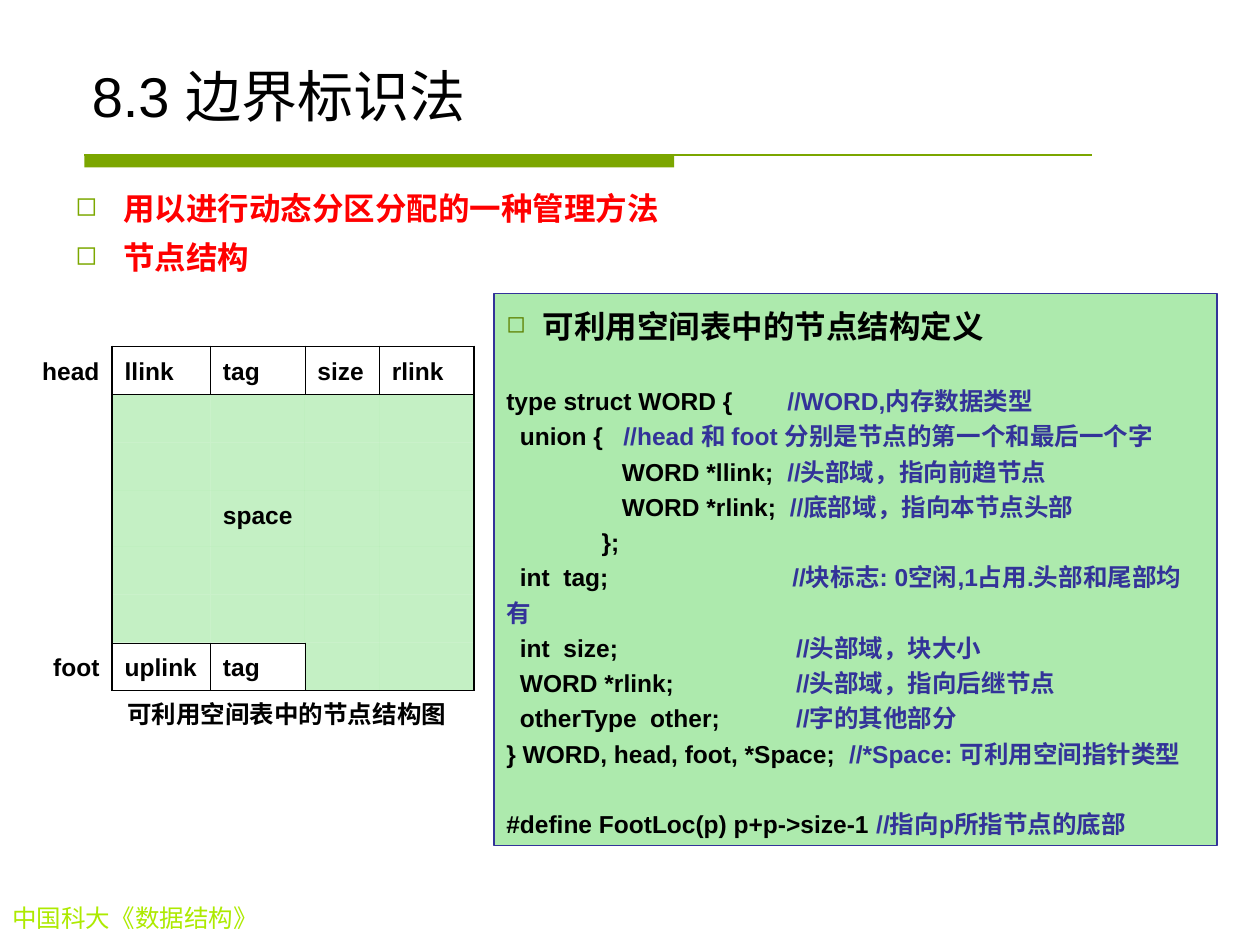
import pptx
import pptx.dml.color
import pptx.enum.shapes
import pptx.enum.text
import pptx.oxml.ns
import pptx.util
from lxml import etree

Inches = pptx.util.Inches
Pt = pptx.util.Pt
RGBColor = pptx.dml.color.RGBColor
ANCHOR = pptx.enum.text.MSO_ANCHOR
ALIGN = pptx.enum.text.PP_ALIGN

BLACK = RGBColor(0x00, 0x00, 0x00)
RED = RGBColor(0xFF, 0x00, 0x00)
OLIVE = RGBColor(0x7B, 0xA6, 0x00)
BULLET_OLIVE = RGBColor(0x7C, 0xA8, 0x00)
DARK_OLIVE = RGBColor(0x5E, 0x80, 0x00)
LIME = RGBColor(0xAD, 0xEA, 0x00)
INDIGO = RGBColor(0x33, 0x33, 0x99)
GREEN = RGBColor(0x33, 0xCC, 0x33)
PALE_GREEN = RGBColor(0x8A, 0xE2, 0x8A)

COLUMN_WIDTHS = [0.72, 0.78, 0.75, 0.59, 0.75]
ROW_HEIGHTS = [0.38, 0.38, 0.38, 0.45, 0.38, 0.38, 0.38]
SPACE = "space"
REGIONS = (
    [[None, "llink", "tag", "size", "rlink"]]
    + [[None] + [SPACE] * 4 for _ in range(5)]
    + [[None, "uplink", "tag", SPACE, SPACE]]
)
CELL_TEXTS = {(0, 0): "head", (6, 0): "foot", (3, 2): SPACE}
EDGES = {"lnL": (0, -1), "lnR": (0, 1), "lnT": (-1, 0), "lnB": (1, 0)}

CODE_LINES = [
    ("type struct WORD {", "//WORD,内存数据类型", 2.23),
    ("  union {", "//head 和 foot 分别是节点的第一个和最后一个字", 0.93),
    ("                 WORD *llink;", "//头部域，指向前趋节点", 2.23),
    ("                 WORD *rlink;", "//底部域，指向本节点头部", 2.25),
    ("              };", "", None),
    ("  int  tag;", "//块标志: 0空闲,1占用.头部和尾部均有", 2.27),
    ("  int  size;", "//头部域，块大小", 2.3),
    ("  WORD *rlink;", "//头部域，指向后继节点", 2.3),
    ("  otherType  other;", "//字的其他部分", 2.3),
    ("} WORD, head, foot, *Space;", "//*Space: 可利用空间指针类型", 2.72),
    ("#define FootLoc(p) p+p->size-1 ", "//指向p所指节点的底部", None),
]


def add_element(parent, tag, **attributes):
    return etree.SubElement(parent, pptx.oxml.ns.qn(tag), attributes)


def set_alpha(fill_parent, percent):
    color = fill_parent.find(".//" + pptx.oxml.ns.qn("a:srgbClr"))
    add_element(color, "a:alpha", val=str(percent * 1000))


def add_run(paragraph, text, size, color, bold=True, font="Arial"):
    run = paragraph.add_run()
    run.text = text
    run.font.size = Pt(size)
    run.font.name = font
    run.font.bold = bold
    run.font.color.rgb = color


def add_bullet(paragraph, color, percent, indent):
    properties = paragraph._p.get_or_add_pPr()
    properties.set("marL", str(Inches(indent)))
    properties.set("indent", str(-Inches(indent)))
    add_element(add_element(properties, "a:buClr"), "a:srgbClr", val=str(color))
    add_element(properties, "a:buSzPct", val=str(percent * 1000))
    add_element(properties, "a:buChar", char="◻")


def add_tab_stop(paragraph, position):
    tabs = add_element(paragraph._p.get_or_add_pPr(), "a:tabLst")
    add_element(tabs, "a:tab", pos=str(Inches(position)), algn="l")


def add_text_box(slide, left, top, width, height):
    box = slide.shapes.add_textbox(
        Inches(left), Inches(top), Inches(width), Inches(height))
    box.text_frame.word_wrap = True
    return box.text_frame


def add_title(slide, left, top, width, height):
    frame = add_text_box(slide, left, top, width, height)
    frame.vertical_anchor = ANCHOR.BOTTOM
    add_run(frame.paragraphs[0], "8.3 边界标识法", 32, BLACK, bold=False)


def add_title_rule(slide, left, top, width, height):
    bar = slide.shapes.add_shape(
        pptx.enum.shapes.MSO_SHAPE.RECTANGLE,
        Inches(left), Inches(top), Inches(width * 0.585), Inches(height))
    bar.shadow.inherit = False
    bar.fill.solid()
    bar.fill.fore_color.rgb = OLIVE
    bar.line.fill.background()
    line = slide.shapes.add_connector(
        pptx.enum.shapes.MSO_CONNECTOR.STRAIGHT,
        Inches(left), Inches(top), Inches(left + width), Inches(top))
    line.line.color.rgb = OLIVE
    line.line.width = Pt(0.75)
    add_element(line._element.spPr, "a:effectLst")


def add_topics(slide, left, top, width, height):
    frame = add_text_box(slide, left, top, width, height)
    for index, topic in enumerate(["用以进行动态分区分配的一种管理方法", "节点结构"]):
        paragraph = frame.add_paragraph() if index else frame.paragraphs[0]
        paragraph.line_spacing = 1.1
        if index:
            paragraph.space_before = Pt(4.5)
        add_bullet(paragraph, BULLET_OLIVE, 85, 0.38)
        add_run(paragraph, topic, 18, RED)


def region_at(row, column):
    if 0 <= row < len(ROW_HEIGHTS) and 0 <= column < len(COLUMN_WIDTHS):
        return REGIONS[row][column]
    return None


def set_borders(cell, row, column):
    properties = cell._tc.get_or_add_tcPr()
    region = region_at(row, column)
    for position, (edge, (down, across)) in enumerate(EDGES.items()):
        neighbour = region_at(row + down, column + across)
        if None in (region, neighbour):
            width = 1.08
        elif across and SPACE not in (region, neighbour):
            width = 0.45
        else:
            width = 0.11
        line = add_element(properties, "a:" + edge, w=str(Pt(width)))
        if region == neighbour:
            add_element(line, "a:noFill")
        else:
            fill = add_element(line, "a:solidFill")
            add_element(fill, "a:srgbClr", val=str(BLACK))
        properties.insert(position, line)


def fill_cell(cell, row, column):
    region = region_at(row, column)
    if region == SPACE:
        cell.fill.solid()
        cell.fill.fore_color.rgb = PALE_GREEN
        set_alpha(cell._tc.tcPr, 50)
    else:
        cell.fill.background()
    set_borders(cell, row, column)
    text = CELL_TEXTS.get((row, column), "" if region == SPACE else region)
    cell.margin_top = cell.margin_bottom = Inches(0.05 if text else 0)
    cell.margin_right = Inches(0 if column else 0.1)
    if text:
        paragraph = cell.text_frame.paragraphs[0]
        paragraph.line_spacing = 1.2
        paragraph.alignment = ALIGN.LEFT if column else ALIGN.RIGHT
        add_run(paragraph, text, 14, BLACK)


def add_node_table(slide, left, top, width, height):
    table = slide.shapes.add_table(
        len(ROW_HEIGHTS), len(COLUMN_WIDTHS),
        Inches(left), Inches(top), Inches(width), Inches(height)).table
    table.first_row = False
    table.horz_banding = False
    for column, column_width in zip(table.columns, COLUMN_WIDTHS):
        column.width = Inches(column_width)
    for row, row_height in zip(table.rows, ROW_HEIGHTS):
        row.height = Inches(row_height)
    for row in range(len(ROW_HEIGHTS)):
        for column in range(len(COLUMN_WIDTHS)):
            fill_cell(table.cell(row, column), row, column)
    caption = add_text_box(slide, left + 0.74, top + height + 0.02, 2.85, 0.34)
    add_run(caption.paragraphs[0], "可利用空间表中的节点结构图", 14, BLACK)


def add_code_panel(slide, left, top, width, height):
    panel = slide.shapes.add_shape(
        pptx.enum.shapes.MSO_SHAPE.RECTANGLE,
        Inches(left), Inches(top), Inches(width), Inches(height))
    panel.shadow.inherit = False
    panel.fill.solid()
    panel.fill.fore_color.rgb = GREEN
    set_alpha(panel._element.spPr, 40)
    panel.line.color.rgb = INDIGO
    panel.line.width = Pt(0.75)
    frame = panel.text_frame
    frame.word_wrap = True
    frame.vertical_anchor = ANCHOR.TOP
    heading = frame.paragraphs[0]
    heading.alignment = ALIGN.LEFT
    heading.line_spacing = 1.2
    add_bullet(heading, DARK_OLIVE, 75, 0.29)
    add_run(heading, "可利用空间表中的节点结构定义", 18, BLACK)
    for index, (code, comment, tab) in enumerate(CODE_LINES):
        paragraph = frame.add_paragraph()
        paragraph.alignment = ALIGN.LEFT
        paragraph.line_spacing = 1.2
        if index in (0, len(CODE_LINES) - 1):
            paragraph.space_before = Pt(20)
        if tab:
            add_tab_stop(paragraph, tab)
        add_run(paragraph, code + ("\t" if tab else ""), 14, BLACK)
        if comment:
            add_run(paragraph, comment, 14, INDIGO)


def add_footer(slide, left, top, width, height):
    frame = add_text_box(slide, left, top, width, height)
    add_run(frame.paragraphs[0], "中国科大《数据结构》", 14, LIME, False, "Times New Roman")


def main():
    presentation = pptx.Presentation()
    presentation.slide_width = Inches(10)
    presentation.slide_height = Inches(7.5)
    slide = presentation.slides.add_slide(presentation.slide_layouts[6])
    add_title_rule(slide, 0.67, 1.23, 8, 0.1)
    add_footer(slide, 0, 7.12, 3.11, 0.34)
    add_title(slide, 0.63, 0.33, 8.75, 0.74)
    add_topics(slide, 0.5, 1.42, 8.08, 0.83)
    add_node_table(slide, 0.17, 2.75, 3.59, 2.73)
    add_code_panel(slide, 3.92, 2.33, 5.74, 4.38)
    presentation.save("out.pptx")


if __name__ == "__main__":
    main()
